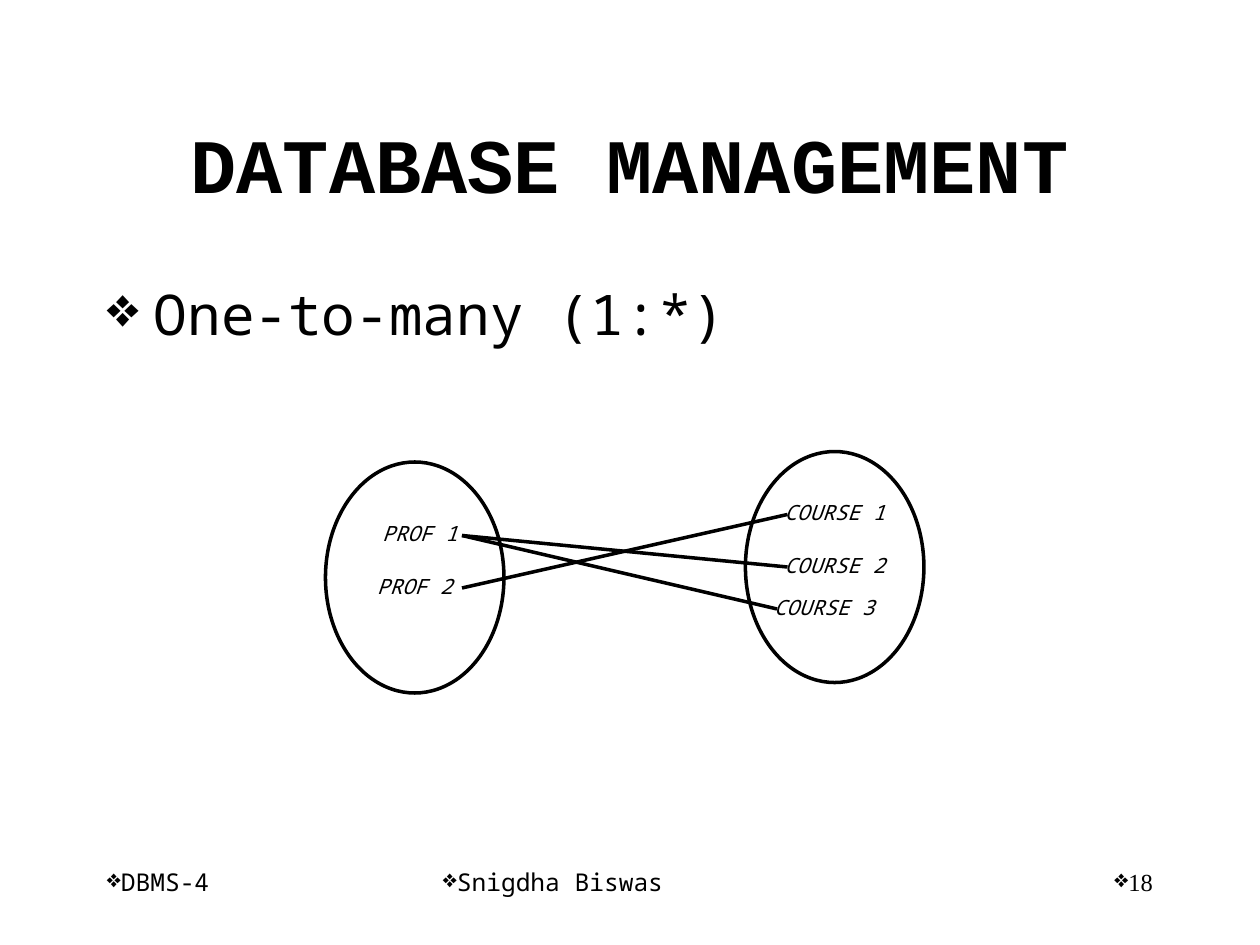
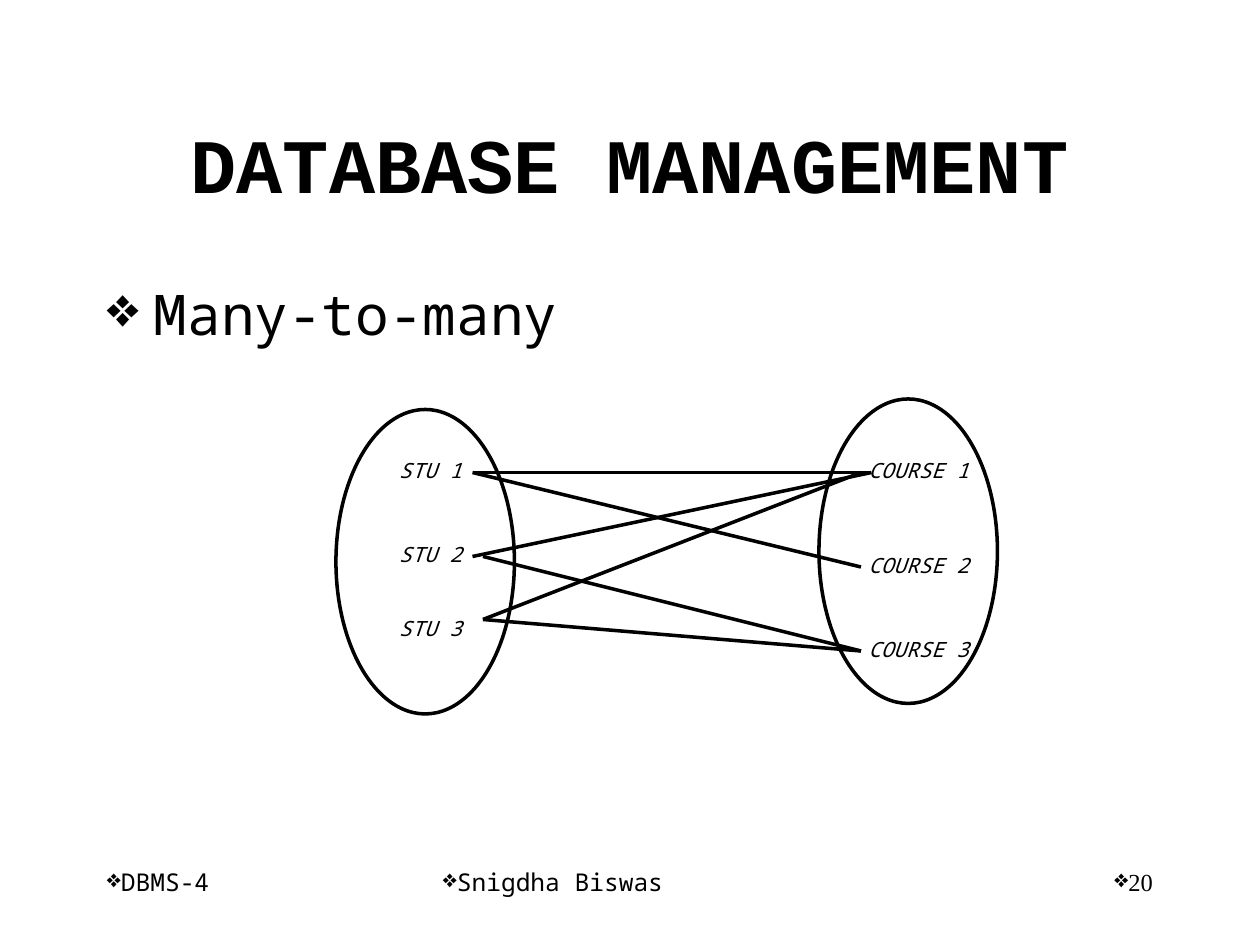
from pptx import Presentation
from pptx.dml.color import RGBColor
from pptx.enum.shapes import MSO_CONNECTOR, MSO_SHAPE
from pptx.enum.text import MSO_ANCHOR, MSO_AUTO_SIZE, PP_ALIGN
from pptx.oxml.ns import qn
from pptx.util import Cm, Pt
from lxml import etree

BLACK = RGBColor(0, 0, 0)
MONO, TITLE_FONT, NUMBER_FONT = "Noto Sans Mono", "Courier New", "Times New Roman"
LINE = Pt(2)
LABEL_H = 3.6


def grid(*units):
    """Turn grid units (twelfths of 2.54 cm) into lengths."""
    return [Cm(u * 2.54 / 12) for u in units]


def add_text(s, text, box, size, font=MONO, bold=False, italic=False,
             align=PP_ALIGN.LEFT, anchor=MSO_ANCHOR.TOP, bullet=False,
             indent=0, grow=False):
    """Add one paragraph in a text box given in grid units."""
    tf = s.shapes.add_textbox(*grid(*box)).text_frame
    tf.word_wrap = True
    tf.vertical_anchor = anchor
    tf.auto_size = MSO_AUTO_SIZE.SHAPE_TO_FIT_TEXT if grow else MSO_AUTO_SIZE.NONE
    p = tf.paragraphs[0]
    p.alignment = align
    r = p.add_run()
    r.text = text
    r.font.name, r.font.size = font, Pt(size)
    r.font.bold, r.font.italic = bold, italic
    r.font.color.rgb = BLACK
    if bullet:
        pPr = p._p.get_or_add_pPr()
        pPr.set("marL", str(Cm(indent)))
        pPr.set("indent", str(-Cm(indent)))
        etree.SubElement(pPr, qn("a:buChar")).set("char", "❖")


# Every box, label and line is in grid units: ovals as (x, y, w, h),
# labels as (text, x, y, w), links as (x1, y1, x2, y2).
SLIDES = [
    dict(
        number="18", heading="One-to-many (1:*)",
        ovals=[(31, 44, 17, 22), (71, 43, 17, 22)],
        labels=[("PROF 1", 32, 49, 16), ("PROF 2", 32.5, 54, 14),
                ("COURSE 1", 72.5, 47, 14), ("COURSE 2", 71.5, 52, 16),
                ("COURSE 3", 70, 56, 17)],
        links=[(44, 51, 75, 54), (44, 51, 74, 58), (44, 56, 75, 49)],
    ),
    dict(
        number="20", heading="Many-to-many",
        ovals=[(32, 39, 17, 29), (78, 38, 17, 29)],
        labels=[("STU 1", 35, 43, 12), ("STU 2", 32, 51, 18),
                ("STU 3", 32, 58, 18), ("COURSE 1", 80, 43, 15),
                ("COURSE 2", 78, 52, 19), ("COURSE 3", 79, 60, 17)],
        links=[(45, 45, 83, 45), (45, 45, 82, 54), (45, 53, 83, 45),
               (46, 53, 82, 62), (46, 59, 82, 45), (46, 59, 82, 62)],
    ),
]

prs = Presentation()
prs.slide_width, prs.slide_height = Cm(25.4), Cm(19.05)

for content in SLIDES:
    s = prs.slides.add_slide(prs.slide_layouts[6])

    # Title, heading and footer
    add_text(s, "DATABASE MANAGEMENT", (9, 8, 102, 15), 44, font=TITLE_FONT,
             bold=True, align=PP_ALIGN.CENTER, anchor=MSO_ANCHOR.MIDDLE)
    add_text(s, content["heading"], (9, 26, 102, 54), 32, bullet=True, indent=0.95)
    add_text(s, "DBMS-4", (9, 82, 25, 6), 14, bullet=True)
    add_text(s, "Snigdha Biswas", (41, 82, 38, 6), 14, bullet=True)
    add_text(s, content["number"], (86, 82, 25, 6), 14, font=NUMBER_FONT,
             align=PP_ALIGN.RIGHT, bullet=True)

    # The two sets, their members and the links between them
    for oval in content["ovals"]:
        sp = s.shapes.add_shape(MSO_SHAPE.OVAL, *grid(*oval))
        sp.shadow.inherit = False
        sp.fill.background()
        sp.line.color.rgb, sp.line.width = BLACK, LINE
    for text, x, y, w in content["labels"]:
        add_text(s, text, (x, y, w, LABEL_H), 12, italic=True,
                 align=PP_ALIGN.CENTER, grow=True)
    for link in content["links"]:
        line = s.shapes.add_connector(MSO_CONNECTOR.STRAIGHT, *grid(*link))
        line.line.color.rgb, line.line.width = BLACK, LINE
        etree.SubElement(line._element.spPr, qn("a:effectLst"))

prs.save("out.pptx")
